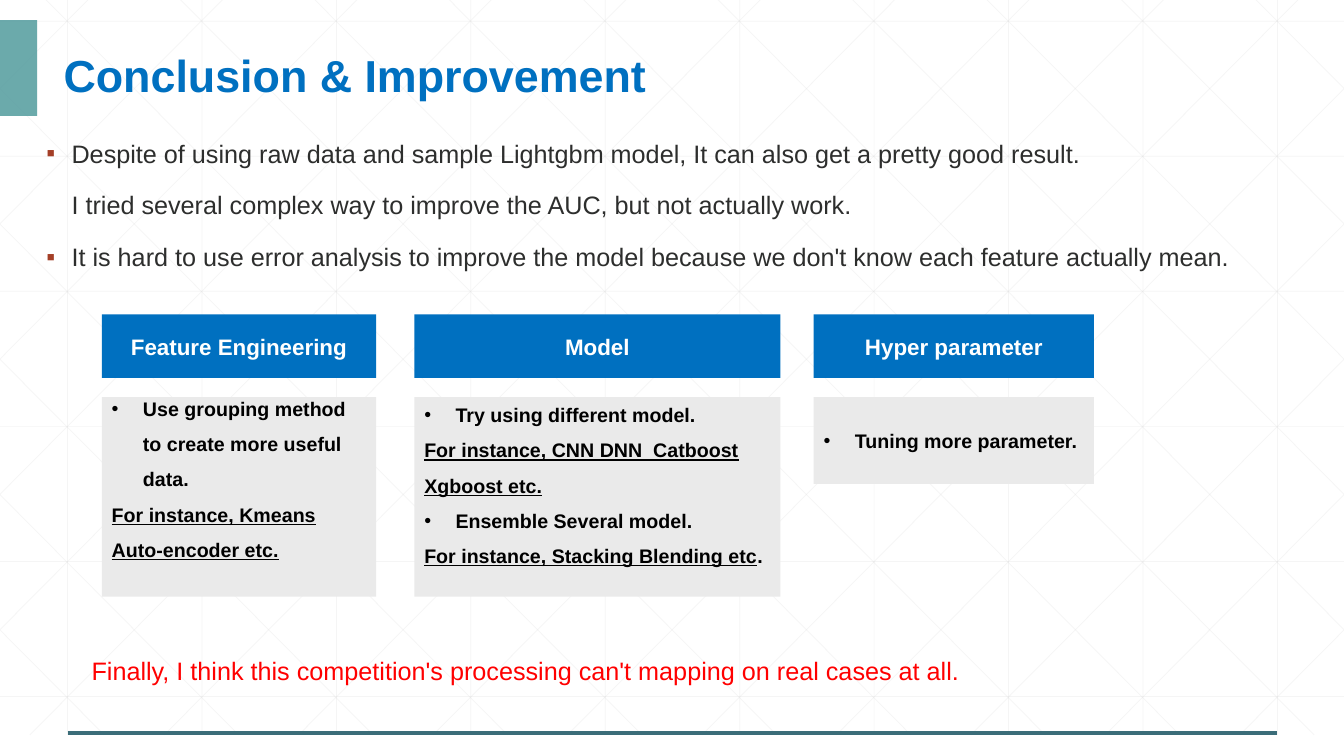
from lxml.etree import SubElement as Sub
from pptx import Presentation
from pptx.dml.color import RGBColor as RGB
from pptx.enum.shapes import MSO_CONNECTOR as Conn, MSO_SHAPE as Shape
from pptx.enum.text import MSO_ANCHOR as Anchor, MSO_AUTO_SIZE as Fit, PP_ALIGN as Align
from pptx.oxml.ns import qn
from pptx.util import Inches, Pt

WHITE = RGB(0xFF, 0xFF, 0xFF)
BLACK = RGB(0, 0, 0)
BLUE = RGB(0x00, 0x70, 0xC0)
RED = RGB(0xFF, 0, 0)
INK = RGB(0x2D, 0x2E, 0x2D)
RUST = RGB(0xA4, 0x3F, 0x27)
TEAL = RGB(0x47, 0x95, 0x97)
DEEP = RGB(0x3B, 0x6D, 0x79)
PALE = RGB(0xEA, 0xEA, 0xEA)
MESH = RGB(0xD9, 0xD9, 0xD9)
WIDE, HIGH = 13.33, 7.5


def write(frame, text, size=18, color=INK, bold=False, under=False, align=Align.LEFT,
          space=1.0, before=0, mark=None, tint=BLACK, indent=0.31, tail=""):
    """Add one paragraph; mark is its bullet, tail is a plain ending after underlined text."""
    par = frame.paragraphs[-1]
    if par.runs:
        par = frame.add_paragraph()
    par.alignment, par.line_spacing, par.space_before = align, space, Pt(before)
    for row, line in enumerate(text.split("\n")):
        if row:
            par.add_line_break()
        par.add_run().text = line
    if tail:
        par.add_run().text = tail
    for run in par.runs:
        font = run.font
        font.name, font.size, font.bold = "Arial", Pt(size), bold
        font.underline = under and run.text != tail
        font.color.rgb = color
    if mark:
        props = par._p.get_or_add_pPr()
        props.set("marL", str(Inches(indent)))
        props.set("indent", str(-Inches(indent)))
        Sub(Sub(props, qn("a:buClr")), qn("a:srgbClr"), val=str(tint))
        Sub(props, qn("a:buFont"), typeface="Arial")
        Sub(props, qn("a:buChar"), char=mark)


def fade(shape, share):
    """Give the shape's colour an opacity in percent."""
    for tone in shape._element.spPr.iter(qn("a:srgbClr")):
        Sub(tone, qn("a:alpha"), val=str(share * 1000))


deck = Presentation()
deck.slide_width, deck.slide_height = Inches(WIDE), Inches(HIGH)
slide = deck.slides.add_slide(deck.slide_layouts[1])
slide.background.fill.solid()
slide.background.fill.fore_color.rgb = WHITE
shapes = slide.shapes
title, body = shapes.title, slide.placeholders[1]

# Background mesh: uprights, levels, then diagonals cut at the slide edges
top, low, step, run_x = -0.21, 7.29, 4 / 3, 7.45
slope = (low - top) / run_x
mesh = [(0.67 + step * i, top, 0.67 + step * i, low) for i in range(10)]
mesh += [(0, 0.21 + 1.34 * i, WIDE, 0.21 + 1.34 * i) for i in range(6)]
for i in range(-5, 10):
    start = 0.25 + step * i
    left, right = max(start, 0), min(start + run_x, WIDE)
    y1, y2 = (top + (x - start) * slope for x in (left, right))
    mesh += [(left, y1, right, y2), (WIDE - left, y1, WIDE - right, y2)]

rules = [(ends, MESH, 0.5, 25) for ends in mesh]
rules.append(((0.67, 7.27, 12.67, 7.27), DEEP, 3, 100))
for ends, color, width, share in rules:
    rule = shapes.add_connector(Conn.STRAIGHT, *map(Inches, ends))
    rule.line.color.rgb, rule.line.width = color, Pt(width)
    fade(rule, share)
    Sub(rule._element.spPr, qn("a:effectLst"))

tab = shapes.add_shape(Shape.RECTANGLE, 0, Inches(0.2), Inches(0.37), Inches(0.95))
tab.shadow.inherit = False
tab.fill.solid()
tab.fill.fore_color.rgb = TEAL
tab.line.fill.background()
fade(tab, 80)

# Title and list, set in front of the mesh
for holder, area, anchor in ((title, (0.53, 0.3, 10.5, 0.76), Anchor.BOTTOM),
                             (body, (0.36, 1.11, 12.47, 1.48), Anchor.TOP)):
    holder.left, holder.top, holder.width, holder.height = map(Inches, area)
    holder.text_frame.auto_size = Fit.NONE
    holder.text_frame.vertical_anchor = anchor
    shapes._spTree.append(holder._element)
write(title.text_frame, "Conclusion & Improvement", size=32, color=BLUE, bold=True, space=0.9)
points = [
    ("Despite of using raw data and sample Lightgbm model, It can also get a pretty good result.\n"
     "I tried several complex way to improve the AUC, but not actually work.", 1.7),
    ("It is hard to use error analysis to improve the model because we don't know each feature "
     "actually mean.", 0.9),
]
for text, space in points:
    write(body.text_frame, text, space=space, before=18, mark="▪", tint=RUST, indent=0.25)

# Columns: left, width, note height, bottom inset, heading, notes (text, bulleted, tail)
columns = [
    (1.01, 2.72, 1.98, 0.47, "Feature Engineering", [
        ("Use grouping method to create more useful data.", True, ""),
        ("For instance, Kmeans Auto-encoder etc.", False, "")]),
    (4.11, 3.63, 1.98, 0.35, "Model", [
        ("Try using different model.", True, ""),
        ("For instance, CNN DNN  Catboost Xgboost etc.", False, ""),
        ("Ensemble Several model.", True, ""),
        ("For instance, Stacking Blending etc", False, ".")]),
    (8.07, 2.78, 0.86, 0.11, "Hyper parameter", [
        ("Tuning more parameter.", True, "")]),
]
for left, width, height, inset, heading, notes in columns:
    frames = []
    for y, tall, color, pad in ((3.12, 0.63, BLUE, (0.1, 0.1)), (3.94, height, PALE, (0, inset))):
        box = shapes.add_shape(Shape.RECTANGLE, *map(Inches, (left, y, width, tall)))
        box.shadow.inherit = False
        box.fill.solid()
        box.fill.fore_color.rgb = color
        box.line.fill.background()
        frame = box.text_frame
        frame.word_wrap, frame.vertical_anchor = True, Anchor.MIDDLE
        frame.margin_left = frame.margin_right = Inches(0.1)
        frame.margin_top, frame.margin_bottom = map(Inches, pad)
        frames.append(frame)
    write(frames[0], heading, size=16, color=WHITE, bold=True, align=Align.CENTER)
    for text, listed, tail in notes:
        write(frames[1], text, size=14, color=BLACK, bold=True, under=not listed, space=1.5,
              mark="•" if listed else None, tail=tail)

final = shapes.add_textbox(*map(Inches, (0.81, 6.45, 11.72, 0.71))).text_frame
final.word_wrap = True
write(final, "Finally, I think this competition's processing can't mapping on real cases at all.",
      color=RED)

deck.save("out.pptx")
